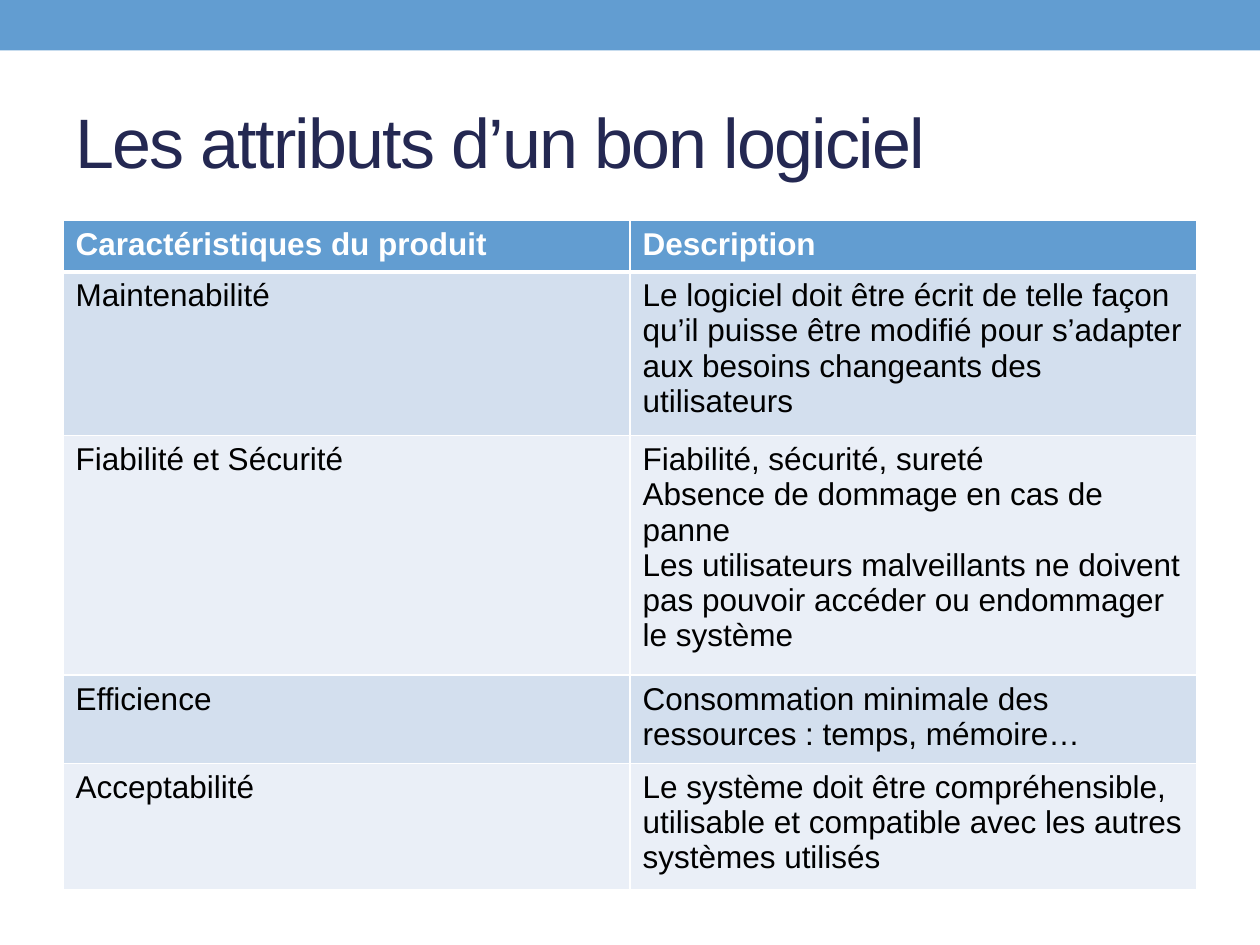
from dataclasses import dataclass
from lxml.etree import SubElement
from pptx import Presentation
from pptx.dml.color import RGBColor
from pptx.enum.shapes import MSO_SHAPE
from pptx.enum.text import MSO_ANCHOR
from pptx.oxml.ns import qn
from pptx.util import Cm, Pt

TITLE = "Les attributs d’un bon logiciel"
HEAD = ("Caractéristiques du produit", "Description")
ROWS = [
    ("Maintenabilité",
     "Le logiciel doit être écrit de telle façon qu’il puisse être modifié "
     "pour s’adapter aux besoins changeants des utilisateurs"),
    ("Fiabilité et Sécurité",
     "Fiabilité, sécurité, sureté\n"
     "Absence de dommage en cas de panne\n"
     "Les utilisateurs malveillants ne doivent pas pouvoir accéder "
     "ou endommager le système"),
    ("Efficience", "Consommation minimale des ressources : temps, mémoire…"),
    ("Acceptabilité",
     "Le système doit être compréhensible, utilisable et compatible "
     "avec les autres systèmes utilisés"),
]


@dataclass(frozen=True)
class Theme:
    font: str = "Arial"
    blue: str = "629DD1"
    navy: str = "242852"
    white: str = "FFFFFF"
    black: str = "000000"
    bands: tuple = ("D3DFEE", "EAEFF7")
    big: int = 40
    body: int = 18
    thin: int = 1
    thick: int = 3


THEME = Theme()
WIDE, HIGH = Cm(25.4), Cm(19.05)
LEFT, SPAN = Cm(1.27), Cm(22.86)


def paint(obj, tint):
    """Give a shape or cell a solid fill."""
    obj.fill.solid()
    obj.fill.fore_color.rgb = RGBColor.from_string(tint)


def style(frame, size, tint, bold=False):
    """Set the font of every paragraph in a text frame."""
    for para in frame.paragraphs:
        font = para.font
        font.name, font.size, font.bold = THEME.font, Pt(size), bold
        font.color.rgb = RGBColor.from_string(tint)


def border(cell, top, base):
    """Draw the four white edges of a cell."""
    props = cell._tc.get_or_add_tcPr()
    edges = (("L", THEME.thin), ("R", THEME.thin), ("T", top), ("B", base))
    for spot, (side, width) in enumerate(edges):
        line = SubElement(props, qn(f"a:ln{side}"), w=str(Pt(width)))
        fill = SubElement(line, qn("a:solidFill"))
        SubElement(fill, qn("a:srgbClr"), val=THEME.white)
        props.insert(spot, line)


def add_title(slide):
    """Add the top band and the slide title."""
    band = slide.shapes.add_shape(MSO_SHAPE.RECTANGLE, 0, 0, WIDE, Cm(1.02))
    band.shadow.inherit = False
    band.line.fill.background()
    paint(band, THEME.blue)
    box = slide.shapes.add_textbox(LEFT, Cm(1.47), SPAN, Cm(2.74))
    frame = box.text_frame
    frame.word_wrap = True
    frame.vertical_anchor = MSO_ANCHOR.MIDDLE
    frame.text = TITLE
    style(frame, THEME.big, THEME.navy)
    frame.paragraphs[0].runs[0].font._element.set("spc", "-100")


def add_grid(slide):
    """Add the table of attributes."""
    data = [HEAD, *ROWS]
    tall = Cm(13.49)
    shape = slide.shapes.add_table(
        len(data), len(HEAD), LEFT, Cm(4.45), SPAN, tall)
    table = shape.table
    for row, texts in enumerate(data):
        table.rows[row].height = Cm(1.03)
        head = row == 0
        tint = THEME.blue if head else THEME.bands[(row - 1) % 2]
        ink = THEME.white if head else THEME.black
        top = THEME.thick if row == 1 else THEME.thin
        base = THEME.thick if head else THEME.thin
        for col, text in enumerate(texts):
            cell = table.cell(row, col)
            cell.text = text
            style(cell.text_frame, THEME.body, ink, head)
            paint(cell, tint)
            border(cell, top, base)
    shape.height = tall


def main():
    """Build and save the slide."""
    deck = Presentation()
    deck.slide_width, deck.slide_height = WIDE, HIGH
    slide = deck.slides.add_slide(deck.slide_layouts[6])
    add_title(slide)
    add_grid(slide)
    deck.save("out.pptx")


if __name__ == "__main__":
    main()
